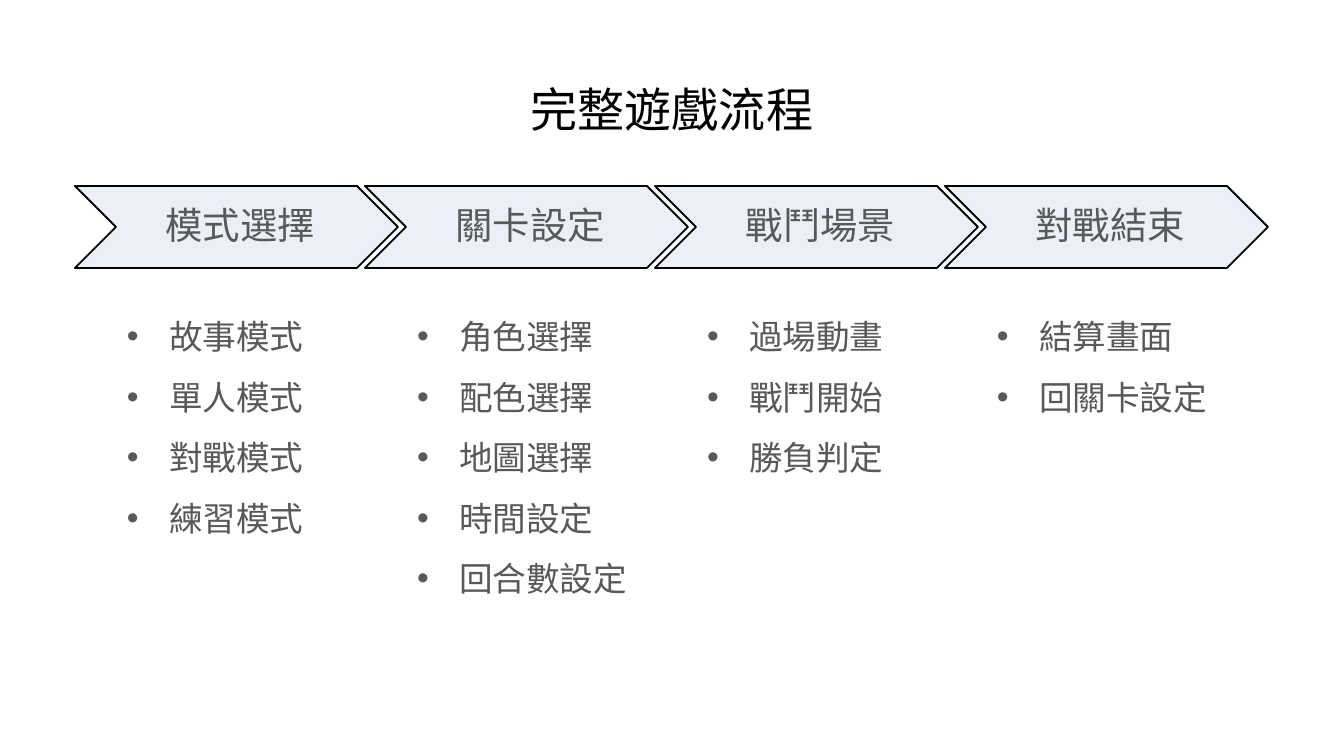
import pptx
import pptx.dml.color
import pptx.enum.shapes
import pptx.enum.text
import pptx.oxml
import pptx.oxml.ns
import pptx.util
from lxml import etree

ANCHOR = pptx.enum.text.MSO_ANCHOR
ALIGN = pptx.enum.text.PP_ALIGN


class FlowSlide:
    """Holds the style and the slide, and adds each kind of element."""

    SCALE = 914400 / 134.4
    COLORS = {"title": "000000", "text": "595959", "step": "D8E2F3", "outline": "000000"}
    LATIN = "Arial"
    CHINESE = "Noto Sans CJK TC"

    def __init__(self, deck):
        deck.slide_width = self.length(1344)
        deck.slide_height = self.length(756)
        self.slide = deck.slides.add_slide(deck.slide_layouts.get_by_name("Comparison"))

    def length(self, px):
        return pptx.util.Emu(round(px * self.SCALE))

    def color(self, name):
        return pptx.dml.color.RGBColor.from_string(self.COLORS[name])

    def child(self, parent, tag, **attributes):
        return etree.SubElement(parent, pptx.oxml.ns.qn(tag), attributes)

    def place(self, box, left, top, width, height):
        box.left, box.top = self.length(left), self.length(top)
        box.width, box.height = self.length(width), self.length(height)

    def frame(self, box, anchor, margins):
        frame = box.text_frame
        frame.word_wrap = True
        frame.auto_size = pptx.enum.text.MSO_AUTO_SIZE.NONE
        frame.vertical_anchor = anchor
        sides = [self.length(px) for px in margins]
        frame.margin_left, frame.margin_top, frame.margin_right, frame.margin_bottom = sides
        return frame

    def format(self, para, size, color, font, align, spacing):
        para.alignment = align
        para.line_spacing = spacing
        para.space_before = pptx.util.Pt(0)
        for span in para.runs:
            span.font.size = pptx.util.Pt(size)
            span.font.bold = False
            span.font.color.rgb = self.color(color)
            span.font.name = font
            self.child(span.font._element, "a:ea", typeface=font)

    def bullet(self, para):
        properties = para._p.get_or_add_pPr()
        indent = self.length(42)
        properties.set("marL", str(indent))
        properties.set("indent", str(-indent))
        tint = self.child(properties, "a:buClr")
        self.child(tint, "a:srgbClr", val=self.COLORS["text"])
        self.child(properties, "a:buFont", typeface=self.LATIN)
        self.child(properties, "a:buChar", char="•")

    def title(self, text):
        box = self.slide.shapes.title
        self.place(box, 46, 66, 1252, 85)
        frame = self.frame(box, ANCHOR.MIDDLE, (13, 13, 13, 13))
        frame.text = text
        self.format(frame.paragraphs[0], 25.2, "title", self.LATIN, ALIGN.CENTER, 1.0)

    def step(self, text, left):
        chevron = self.slide.shapes.add_shape(
            pptx.enum.shapes.MSO_SHAPE.CHEVRON,
            self.length(left), self.length(186), self.length(323), self.length(82))
        chevron.shadow.inherit = False
        chevron.fill.solid()
        chevron.fill.fore_color.rgb = self.color("step")
        tint = chevron._element.spPr.find(".//" + pptx.oxml.ns.qn("a:srgbClr"))
        self.child(tint, "a:alpha", val="50000")
        chevron.line.color.rgb = self.color("outline")
        chevron.line.width = pptx.util.Pt(1)
        frame = self.frame(chevron, ANCHOR.MIDDLE, (12, 4, 4, 4))
        frame.text = text
        self.format(frame.paragraphs[0], 20, "text", self.CHINESE, ALIGN.CENTER, 0.9)

    def items(self, index, texts, left):
        box = self.slide.placeholders[index]
        self.place(box, left, 289, 242, 61 * len(texts) - 6)
        frame = self.frame(box, ANCHOR.TOP, (13, 7, 13, 7))
        frame.text = "\n".join(texts)
        for para in frame.paragraphs:
            self.format(para, 18, "text", self.CHINESE, ALIGN.LEFT, 1.5)
            self.bullet(para)


def main():
    deck = pptx.Presentation()
    flow = FlowSlide(deck)
    flow.title("完整遊戲流程")
    stages = {
        "模式選擇": ["故事模式", "單人模式", "對戰模式", "練習模式"],
        "關卡設定": ["角色選擇", "配色選擇", "地圖選擇", "時間設定", "回合數設定"],
        "戰鬥場景": ["過場動畫", "戰鬥開始", "勝負判定"],
        "對戰結束": ["結算畫面", "回關卡設定"],
    }
    for column, (stage, texts) in enumerate(stages.items()):
        offset = 290 * column
        flow.step(stage, 75 + offset)
        flow.items(column + 1, texts, 114 + offset)
    deck.save("out.pptx")


if __name__ == "__main__":
    main()
